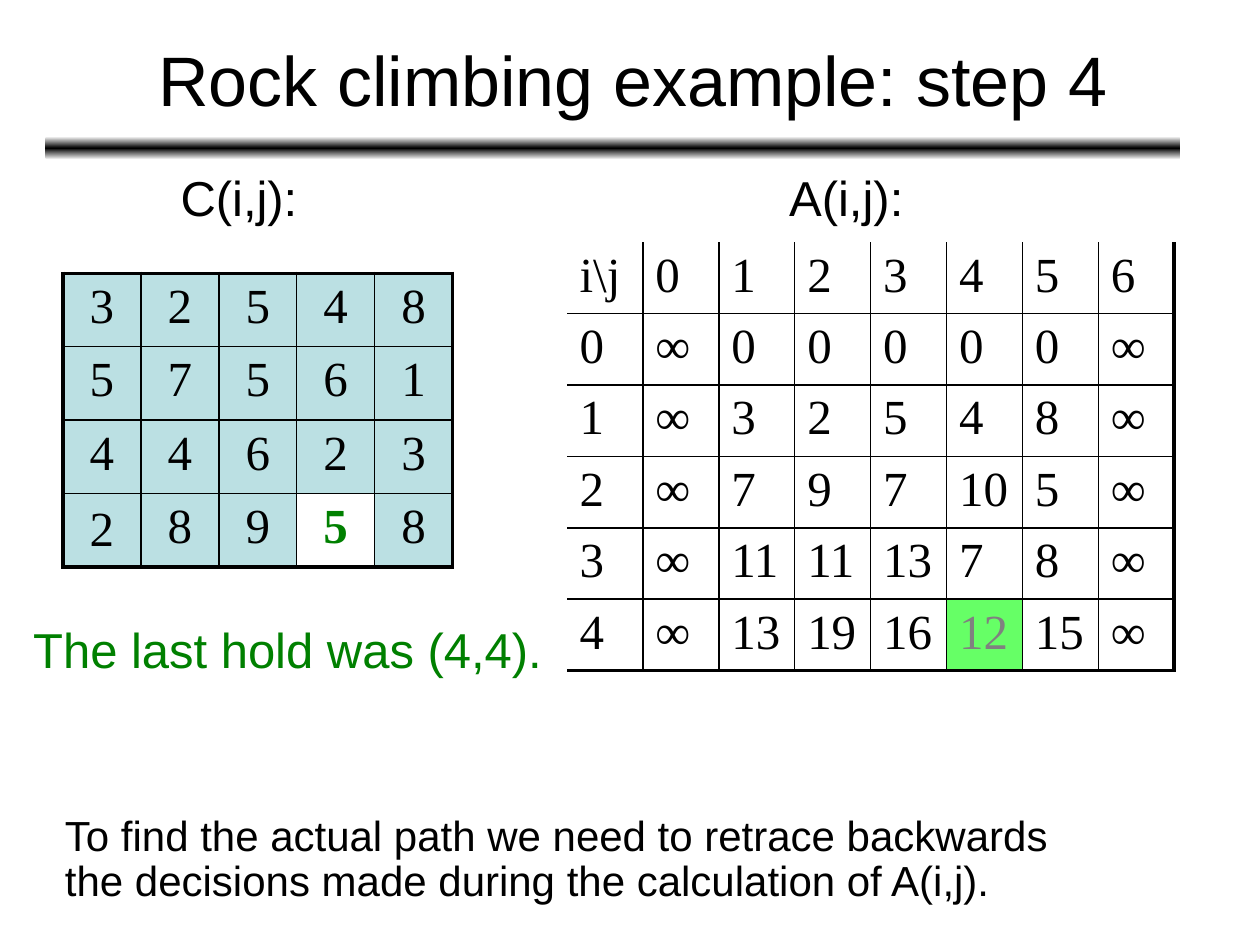
import copy
from dataclasses import dataclass, field

import lxml.etree
import pptx
import pptx.dml.color
import pptx.enum.shapes
import pptx.enum.text
import pptx.oxml.ns
import pptx.util
from pptx.util import Cm

ALIGN = pptx.enum.text.PP_ALIGN
ANCHOR = pptx.enum.text.MSO_ANCHOR
BLACK, WHITE, GREEN = "000000", "FFFFFF", "008000"
INNER_LINE, OUTER_LINE = 1, 2.25


@dataclass
class Label:
    left: float
    top: float
    width: float
    height: float
    lines: list[str]
    size: float = 28
    color: str = BLACK
    align: ALIGN = ALIGN.LEFT
    anchor: ANCHOR = ANCHOR.TOP
    line_spacing: float = 0.9


@dataclass
class CellStyle:
    fill: str | None
    color: str = BLACK
    bold: bool = False
    anchor: ANCHOR = ANCHOR.TOP


@dataclass
class Grid:
    """A number table; outer holds the left, top, right and bottom line widths."""
    left: float
    top: float
    column_width: float
    row_height: float
    rows: list[list[str]]
    outer: tuple[float, float, float, float]
    align: ALIGN
    style: CellStyle
    special: dict[tuple[int, int], CellStyle] = field(default_factory=dict)


LABELS = [
    Label(1.96, 0, 21.59, 3.18, ["Rock climbing example: step 4"], 40,
          align=ALIGN.CENTER, anchor=ANCHOR.MIDDLE, line_spacing=1),
    Label(3.39, 3.39, 2.9, 1.32, ["C(i,j):"]),
    Label(15.66, 3.39, 2.95, 1.32, ["A(i,j):"]),
    Label(0.42, 12.49, 10.8, 1.32, ["The last hold was (4,4)."], color=GREEN),
    Label(1.06, 16.3, 22.25, 2.08,
          ["To find the actual path we need to retrace backwards",
           "the decisions made during the calculation of A(i,j)."], 24),
]

COSTS = Grid(
    1.27, 5.51, 1.57, 1.48,
    [row.split() for row in ("3 2 5 4 8", "5 7 5 6 1", "4 4 6 2 3", "2 8 9 5 8")],
    (OUTER_LINE,) * 4, ALIGN.CENTER, CellStyle("BBE0E3"),
    {(3, 0): CellStyle("BBE0E3", anchor=ANCHOR.MIDDLE),
     (3, 3): CellStyle(WHITE, GREEN, True)},
)
TOTALS = Grid(
    11.43, 4.88, 1.53, 1.44,
    [row.split() for row in (
        "i\\j 0 1 2 3 4 5 6",
        "0 ∞ 0 0 0 0 0 ∞",
        "1 ∞ 3 2 5 4 8 ∞",
        "2 ∞ 7 9 7 10 5 ∞",
        "3 ∞ 11 11 13 7 8 ∞",
        "4 ∞ 13 19 16 12 15 ∞")],
    (0, 0, OUTER_LINE, OUTER_LINE), ALIGN.LEFT, CellStyle(None),
    {(5, 5): CellStyle("66FF66", "808080")},
)


def rgb(value: str) -> pptx.dml.color.RGBColor:
    return pptx.dml.color.RGBColor.from_string(value)


def add_run(paragraph, text: str, font: str, size: float, color: str,
            bold: bool = False) -> None:
    run = paragraph.add_run()
    run.text = text
    run.font.name = font
    run.font.size = pptx.util.Pt(size)
    run.font.bold = bold
    run.font.color.rgb = rgb(color)


def add_label(slide, label: Label) -> None:
    box = slide.shapes.add_textbox(
        Cm(label.left), Cm(label.top), Cm(label.width), Cm(label.height))
    frame = box.text_frame
    frame.word_wrap = True
    frame.vertical_anchor = label.anchor
    for index, line in enumerate(label.lines):
        paragraph = frame.add_paragraph() if index else frame.paragraphs[0]
        paragraph.alignment = label.align
        paragraph.line_spacing = label.line_spacing
        add_run(paragraph, line, "Arial", label.size, label.color)


def add_border(cell, side: str, width: float) -> None:
    """Draw one cell side (L, R, T or B); a width of 0 hides it."""
    qn = pptx.oxml.ns.qn
    properties = cell._tc.get_or_add_tcPr()
    line = lxml.etree.SubElement(
        properties, qn(f"a:ln{side}"), w=str(int(pptx.util.Pt(width))))
    if width:
        fill = lxml.etree.SubElement(line, qn("a:solidFill"))
        lxml.etree.SubElement(fill, qn("a:srgbClr"), val=BLACK)
    else:
        lxml.etree.SubElement(line, qn("a:noFill"))


def add_grid(slide, grid: Grid) -> None:
    row_count, column_count = len(grid.rows), len(grid.rows[0])
    table = slide.shapes.add_table(
        row_count, column_count, Cm(grid.left), Cm(grid.top),
        Cm(grid.column_width * column_count),
        Cm(grid.row_height * row_count)).table
    table.first_row = table.horz_banding = False
    for column in table.columns:
        column.width = Cm(grid.column_width)
    for row in table.rows:
        row.height = Cm(grid.row_height)

    left, top, right, bottom = grid.outer
    for i, values in enumerate(grid.rows):
        for j, value in enumerate(values):
            cell = table.cell(i, j)
            style = grid.special.get((i, j), grid.style)
            add_border(cell, "L", INNER_LINE if j else left)
            add_border(cell, "R", INNER_LINE if j < column_count - 1 else right)
            add_border(cell, "T", INNER_LINE if i else top)
            add_border(cell, "B", INNER_LINE if i < row_count - 1 else bottom)
            if style.fill:
                cell.fill.solid()
                cell.fill.fore_color.rgb = rgb(style.fill)
            else:
                cell.fill.background()
            cell.vertical_anchor = style.anchor
            paragraph = cell.text_frame.paragraphs[0]
            paragraph.alignment = grid.align
            add_run(paragraph, value, "Times New Roman", 28, style.color, style.bold)


def add_title_bar(slide) -> None:
    """Add the bar under the title, fading from black to white at both edges."""
    bar = slide.shapes.add_shape(
        pptx.enum.shapes.MSO_SHAPE.ROUNDED_RECTANGLE,
        Cm(0.91), Cm(2.75), Cm(22.89), Cm(0.47))
    bar.shadow.inherit = False
    bar.line.fill.background()
    bar.fill.gradient()
    bar.fill.gradient_angle = 90
    edge, middle = bar.fill.gradient_stops
    edge.color.rgb = rgb(WHITE)
    edge.position = 0
    middle.color.rgb = rgb(BLACK)
    middle.position = 0.5
    stops = bar._element.spPr.find(".//" + pptx.oxml.ns.qn("a:gsLst"))
    last = copy.deepcopy(stops[0])
    last.set("pos", "100000")
    stops.append(last)


def main() -> None:
    presentation = pptx.Presentation()
    presentation.slide_width = Cm(25.4)
    presentation.slide_height = Cm(19.05)
    slide = presentation.slides.add_slide(presentation.slide_layouts[6])
    add_title_bar(slide)
    for grid in (COSTS, TOTALS):
        add_grid(slide, grid)
    for label in LABELS:
        add_label(slide, label)
    presentation.save("out.pptx")


if __name__ == "__main__":
    main()
